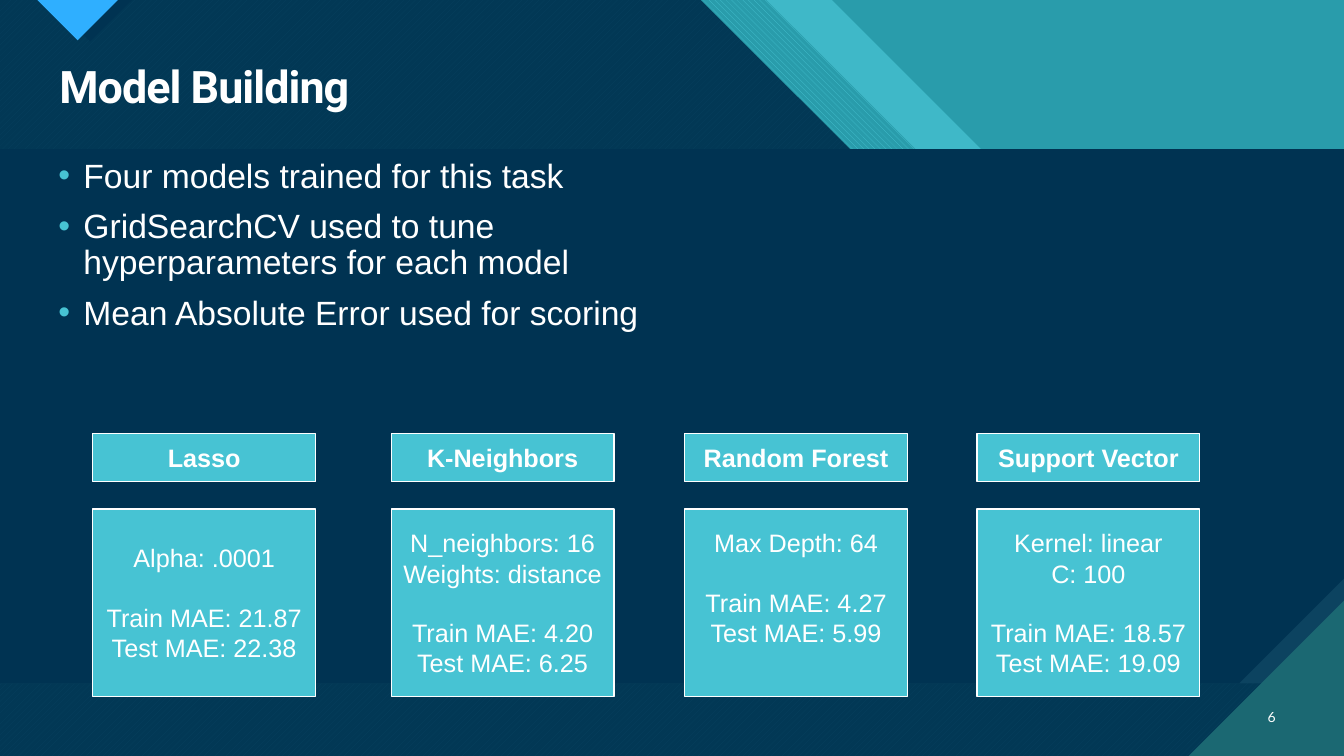
from lxml import etree
from pptx import Presentation
from pptx.dml.color import RGBColor
from pptx.enum.dml import MSO_PATTERN
from pptx.enum.shapes import MSO_SHAPE
from pptx.enum.text import MSO_ANCHOR, PP_ALIGN
from pptx.oxml.ns import qn
from pptx.util import Inches, Pt

RECTANGLE = MSO_SHAPE.RECTANGLE
UPWARD = MSO_PATTERN.WIDE_UPWARD_DIAGONAL
DOWNWARD = MSO_PATTERN.WIDE_DOWNWARD_DIAGONAL
TOP, MIDDLE = MSO_ANCHOR.TOP, MSO_ANCHOR.MIDDLE
LEFT, CENTER, RIGHT = PP_ALIGN.LEFT, PP_ALIGN.CENTER, PP_ALIGN.RIGHT

WHITE = RGBColor(0xFF, 0xFF, 0xFF)
NAVY = RGBColor(0x00, 0x33, 0x52)
SLATE = RGBColor(0x0C, 0x43, 0x60)
TEAL = RGBColor(0x29, 0x9C, 0xAB)
AQUA = RGBColor(0x47, 0xC3, 0xD3)
PINE = RGBColor(0x1B, 0x68, 0x72)
BLUE = RGBColor(0x2F, 0xAF, 0xFF)

WIDTH, HEIGHT = 13.33, 7.5
BAND_BOTTOM, PANEL_BOTTOM = 1.48, 6.78
PANEL_CUT = 1.04
CORNER = 1.54
DIAGONALS = (6.95, 7.6, 8.25)  # where the header stripes meet the top edge

COLUMNS = (0.92, 3.88, 6.79, 9.69)
CARD_WIDTH = 2.21
NAME_TOP, NAME_HEIGHT = 4.3, 0.48
RESULT_TOP, RESULT_HEIGHT = 5.05, 1.86
LINE_GAP = 21  # points, one line of 18 point text
LINE_HEIGHT = 0.3

BULLETS = (
    "Four models trained for this task",
    "GridSearchCV used to tune hyperparameters for each model",
    "Mean Absolute Error used for scoring",
)
# name, tuned settings, train error, test error, free lines at the foot
MODELS = (
    ("Lasso", ("Alpha: .0001",), "21.87", "22.38", 0),
    ("K-Neighbors", ("N_neighbors: 16", "Weights: distance"), "4.20", "6.25", 0),
    ("Random Forest", ("Max Depth: 64",), "4.27", "5.99", 1),
    ("Support Vector", ("Kernel: linear", "C: 100"), "18.57", "19.09", 0),
)


def add_polygon(page, points, color, alpha=None, pattern=None, back=None):
    builder = page.shapes.build_freeform(*map(Inches, points[0]), scale=1.0)
    builder.add_line_segments([(Inches(x), Inches(y)) for x, y in points[1:]])
    shape = builder.convert_to_shape()
    shape.shadow.inherit = False
    shape.line.fill.background()
    if pattern is not None:
        shape.fill.patterned()
        shape.fill.pattern = pattern
        shape.fill.fore_color.rgb = color
        shape.fill.back_color.rgb = back
    else:
        shape.fill.solid()
        shape.fill.fore_color.rgb = color
    if alpha is not None:
        tint = shape.fill._xPr.find(qn("a:solidFill"))[0]
        etree.SubElement(tint, qn("a:alpha")).set("val", str(alpha * 1000))


def left_of_diagonal(start):
    """Outline of everything left of a 45 degree line from the top edge."""
    return [(0, 0), (start, 0), (start + BAND_BOTTOM, BAND_BOTTOM),
            (WIDTH, BAND_BOTTOM), (WIDTH, HEIGHT), (0, HEIGHT)]


def add_span(para, text, size, font="Arial", bold=False):
    span = para.add_run()
    span.text = text
    span.font.size = Pt(size)
    span.font.name = font
    span.font.bold = bold
    span.font.color.rgb = WHITE
    return span


def add_para(frame, first, align):
    para = frame.paragraphs[0] if first else frame.add_paragraph()
    para.alignment = align
    return para


def add_text_box(page, left, top, width, height, anchor=TOP):
    box = page.shapes.add_textbox(*map(Inches, (left, top, width, height)))
    box.text_frame.word_wrap = True
    box.text_frame.vertical_anchor = anchor
    return box.text_frame


def add_card(page, left, top, height):
    card = page.shapes.add_shape(
        RECTANGLE, *map(Inches, (left, top, CARD_WIDTH, height)))
    card.shadow.inherit = False
    card.fill.solid()
    card.fill.fore_color.rgb = AQUA
    card.line.color.rgb = WHITE
    card.line.width = Pt(1)
    frame = card.text_frame
    frame.word_wrap = True
    frame.vertical_anchor = MIDDLE
    return frame


def add_bullet(para):
    props = para._p.get_or_add_pPr()
    props.set("marL", str(Inches(0.25)))
    props.set("indent", str(-Inches(0.25)))
    color = etree.SubElement(props, qn("a:buClr"))
    etree.SubElement(color, qn("a:srgbClr")).set("val", str(AQUA))
    etree.SubElement(props, qn("a:buFont")).set("typeface", "Arial")
    etree.SubElement(props, qn("a:buChar")).set("char", "•")


def add_backdrop(page):
    page.background.fill.solid()
    page.background.fill.fore_color.rgb = TEAL
    # Header stripes and the dark ground
    dark, hatch, light = map(left_of_diagonal, DIAGONALS)
    add_polygon(page, light, AQUA, alpha=74)
    add_polygon(page, hatch, AQUA, pattern=DOWNWARD, back=TEAL)
    add_polygon(page, dark, AQUA, pattern=UPWARD, back=PINE)
    add_polygon(page, dark, NAVY, alpha=90)
    # Blue marker with its dark shade
    for left, right, depth, color in ((0.48, 1.31, 0.41, NAVY),
                                      (0.37, 1.17, 0.4, BLUE)):
        add_polygon(page, [(left, 0), (right, 0),
                           ((left + right) / 2, depth)], color)
    # Content panel with a cut corner
    for cut, color in ((0, SLATE), (PANEL_CUT, NAVY)):
        add_polygon(page, [(0, BAND_BOTTOM), (WIDTH, BAND_BOTTOM),
                           (WIDTH, PANEL_BOTTOM - cut),
                           (WIDTH - cut, PANEL_BOTTOM), (0, PANEL_BOTTOM)], color)
    # Page corner
    add_polygon(page, [(WIDTH - CORNER, HEIGHT), (WIDTH, HEIGHT),
                       (WIDTH, HEIGHT - CORNER)], PINE)


def add_heading(page):
    para = add_para(add_text_box(page, 0.49, 0.59, 12.26, 0.59), True, LEFT)
    para.line_spacing = 0.9
    title = add_span(para, "Model Building", 32, "Roboto", True)
    title.font._element.set("spc", "-70")


def add_bullets(page):
    frame = add_text_box(page, 0.48, 1.53, 6.66, 4.76)
    for index, text in enumerate(BULLETS):
        para = add_para(frame, index == 0, LEFT)
        para.line_spacing = 0.9
        para.space_before = Pt(10)
        add_bullet(para)
        add_span(para, text, 24)


def add_model(page, left, name, settings, train, test, free_lines):
    heading = add_card(page, left, NAME_TOP, NAME_HEIGHT)
    add_span(add_para(heading, True, CENTER), name, 18, bold=True)
    result = add_card(page, left, RESULT_TOP, RESULT_HEIGHT)
    result.margin_bottom = Inches(0.05 + free_lines * LINE_HEIGHT)
    lines = (*settings, f"Train MAE: {train}", f"Test MAE: {test}")
    for index, text in enumerate(lines):
        para = add_para(result, index == 0, CENTER)
        if index == len(settings):
            para.space_before = Pt(LINE_GAP)
        add_span(para, text, 18)


def main():
    deck = Presentation()
    deck.slide_width, deck.slide_height = Inches(WIDTH), Inches(HEIGHT)
    page = deck.slides.add_slide(deck.slide_layouts[6])
    add_backdrop(page)
    add_heading(page)
    number = add_text_box(page, 12.31, 6.91, 0.44, 0.4, MIDDLE)
    add_span(add_para(number, True, RIGHT), "6", 10, "Lato")
    add_bullets(page)
    for left, model in zip(COLUMNS, MODELS):
        add_model(page, left, *model)
    deck.save("out.pptx")


if __name__ == "__main__":
    main()
